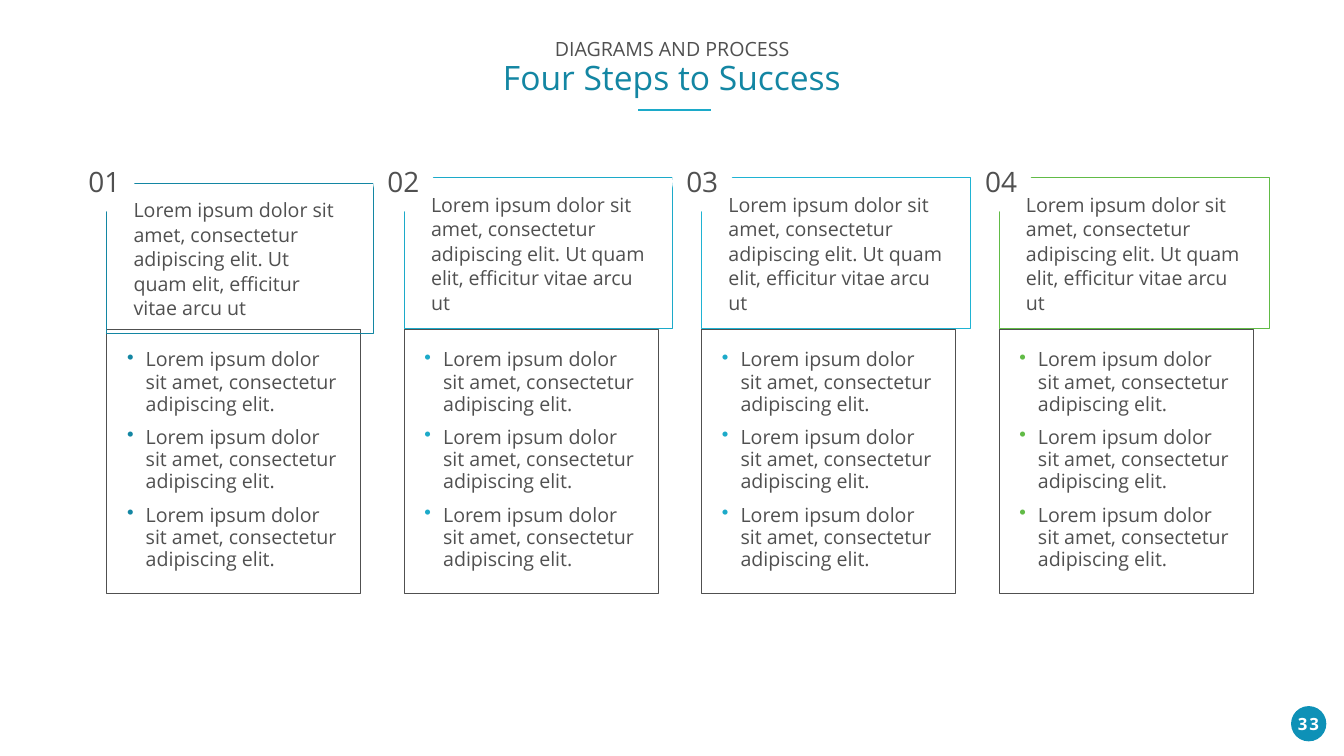
from dataclasses import dataclass

from lxml.etree import SubElement
from pptx import Presentation
from pptx.dml.color import RGBColor
from pptx.enum.shapes import MSO_CONNECTOR, MSO_SHAPE
from pptx.enum.text import MSO_ANCHOR as Anchor, MSO_AUTO_SIZE as AutoSize, PP_ALIGN as Align
from pptx.oxml.ns import qn
from pptx.util import Inches, Pt


@dataclass(frozen=True)
class Theme:
    """Colours, font and type sizes of the slide."""
    font: str = "Open Sans"
    text: str = "505050"
    white: str = "FFFFFF"
    heading: str = "1386A3"
    accent: str = "1CAAC9"
    bright: str = "1FB3D3"
    green: str = "61BB46"
    badge: str = "0E91B7"
    page: int = 24
    body: int = 28
    number: int = 40
    title: int = 48


THEME = Theme()
SUMMARY = ("Lorem ipsum dolor sit amet, consectetur adipiscing elit. "
           "Ut quam elit, efficitur vitae arcu ut")
POINT = "Lorem ipsum dolor sit amet, consectetur adipiscing elit."
STEPS = [
    {"bullet": THEME.heading, "outline": THEME.heading, "top": 3.64, "width": 5.29, "height": 2.97},
    {"bullet": THEME.accent, "outline": THEME.accent, "top": 3.53, "width": 5.32, "height": 2.99},
    {"bullet": THEME.accent, "outline": THEME.bright, "top": 3.53, "width": 5.34, "height": 2.99},
    {"bullet": THEME.green, "outline": THEME.green, "top": 3.53, "width": 5.36, "height": 2.99},
]


def apply_format(target, values):
    """Set every attribute named in values on target."""
    for name, value in values.items():
        setattr(target, name, value)


def color(value):
    """Turn a hex string into a colour."""
    return RGBColor.from_string(value)


def format_frame(frame, insets, anchor=Anchor.TOP, wrap=True, auto_size=AutoSize.SHAPE_TO_FIT_TEXT):
    """Set the insets (horizontal, vertical), anchor, wrapping and sizing of a text frame."""
    across, down = (Inches(inset) for inset in insets)
    apply_format(frame, {
        "margin_left": across, "margin_right": across,
        "margin_top": down, "margin_bottom": down,
        "vertical_anchor": anchor, "word_wrap": wrap, "auto_size": auto_size,
    })


def write_paragraph(frame, text, size, ink=THEME.text, first=True, bullet=None, bold=False, **layout):
    """Write one paragraph and return its run."""
    paragraph = frame.paragraphs[0] if first else frame.add_paragraph()
    apply_format(paragraph, {"alignment": Align.LEFT, **layout})
    if bullet:
        add_bullet(paragraph, bullet)
    run = paragraph.add_run()
    run.text = text
    apply_format(run.font, {"name": THEME.font, "size": Pt(size), "bold": bold})
    run.font.color.rgb = color(ink)
    return run


def add_bullet(paragraph, ink):
    """Give a paragraph a hanging coloured bullet."""
    properties = paragraph._p.get_or_add_pPr()
    properties.set("marL", str(Inches(0.37)))
    properties.set("indent", str(-Inches(0.37)))
    SubElement(SubElement(properties, qn("a:buClr")), qn("a:srgbClr")).set("val", ink)
    SubElement(properties, qn("a:buChar")).set("char", "•")


def add_box(slide, kind, place, fill=None, outline=None, weight=1.5):
    """Add a preset shape with optional fill and outline."""
    shape = slide.shapes.add_shape(kind, *(Inches(length) for length in place))
    shape.shadow.inherit = False
    for paint, ink in ((shape.fill, fill), (shape.line.fill, outline)):
        if ink:
            paint.solid()
            paint.fore_color.rgb = color(ink)
        else:
            paint.background()
    if outline:
        shape.line.width = Pt(weight)
    return shape


def add_points(slide, left, ink):
    """Add the outlined box with three bullet points."""
    frame = add_box(slide, MSO_SHAPE.RECTANGLE, (left, 6.53, 5.04, 5.24), outline=THEME.text).text_frame
    format_frame(frame, (0.4, 0.4))
    for index in range(3):
        write_paragraph(frame, POINT, THEME.body, first=index == 0, bullet=ink,
                        line_spacing=0.94, space_after=Pt(16))


def add_summary(slide, left, step):
    """Add the coloured summary box of a step."""
    place = (left, step["top"], step["width"], step["height"])
    frame = add_box(slide, MSO_SHAPE.RECTANGLE, place, outline=step["outline"]).text_frame
    format_frame(frame, (0.53, 0.27))
    write_paragraph(frame, SUMMARY, THEME.body, line_spacing=Pt(35))


def add_number(slide, left, number):
    """Add the white disc that carries a step number."""
    frame = add_box(slide, MSO_SHAPE.OVAL, (left, 3.01, 1.18, 1.18),
                    fill=THEME.white, outline=THEME.white, weight=1).text_frame
    format_frame(frame, (0.2, 0.1), Anchor.MIDDLE, False, AutoSize.NONE)
    write_paragraph(frame, f"{number:02d}", THEME.number, alignment=Align.CENTER)


def add_heading(slide):
    """Fill the title placeholder and underline it."""
    title = slide.shapes.title
    apply_format(title, {"left": Inches(9.84), "top": Inches(0.74),
                         "width": Inches(6.98), "height": Inches(1.25)})
    format_frame(title.text_frame, (0.1, 0.05), wrap=False)
    layout = {"alignment": Align.CENTER, "line_spacing": 0.9, "space_before": Pt(0)}
    write_paragraph(title.text_frame, "DIAGRAMS AND PROCESS", THEME.body, **layout)
    write_paragraph(title.text_frame, "Four Steps to Success", THEME.title,
                    THEME.heading, first=False, **layout)
    rule = slide.shapes.add_connector(MSO_CONNECTOR.STRAIGHT, Inches(12.66), Inches(2.18),
                                      Inches(14.1), Inches(2.18))
    rule.line.color.rgb = color(THEME.accent)
    rule.line.width = Pt(3)
    SubElement(rule._element.spPr, qn("a:effectLst"))


def add_page_number(slide):
    """Add the round page badge with its number."""
    add_box(slide, MSO_SHAPE.OVAL, (25.61, 14.01, 0.7, 0.7), fill=THEME.badge)
    label = slide.shapes.add_textbox(Inches(25.56), Inches(14.11), Inches(0.79), Inches(0.5))
    format_frame(label.text_frame, (0.1, 0.05))
    run = write_paragraph(label.text_frame, "33", THEME.page, THEME.white,
                          bold=True, alignment=Align.CENTER)
    run._r.get_or_add_rPr().set("spc", "300")


def main():
    """Build the slide and save it."""
    presentation = Presentation()
    apply_format(presentation, {"slide_width": Inches(26.66), "slide_height": Inches(15)})
    slide = presentation.slides.add_slide(presentation.slide_layouts[5])
    add_page_number(slide)
    add_heading(slide)
    for index, step in enumerate(STEPS):
        left = 2.12 + 5.9 * index
        add_points(slide, left, step["bullet"])
        add_summary(slide, left, step)
        add_number(slide, 1.48 + 5.93 * index, index + 1)
    presentation.save("out.pptx")


if __name__ == "__main__":
    main()
